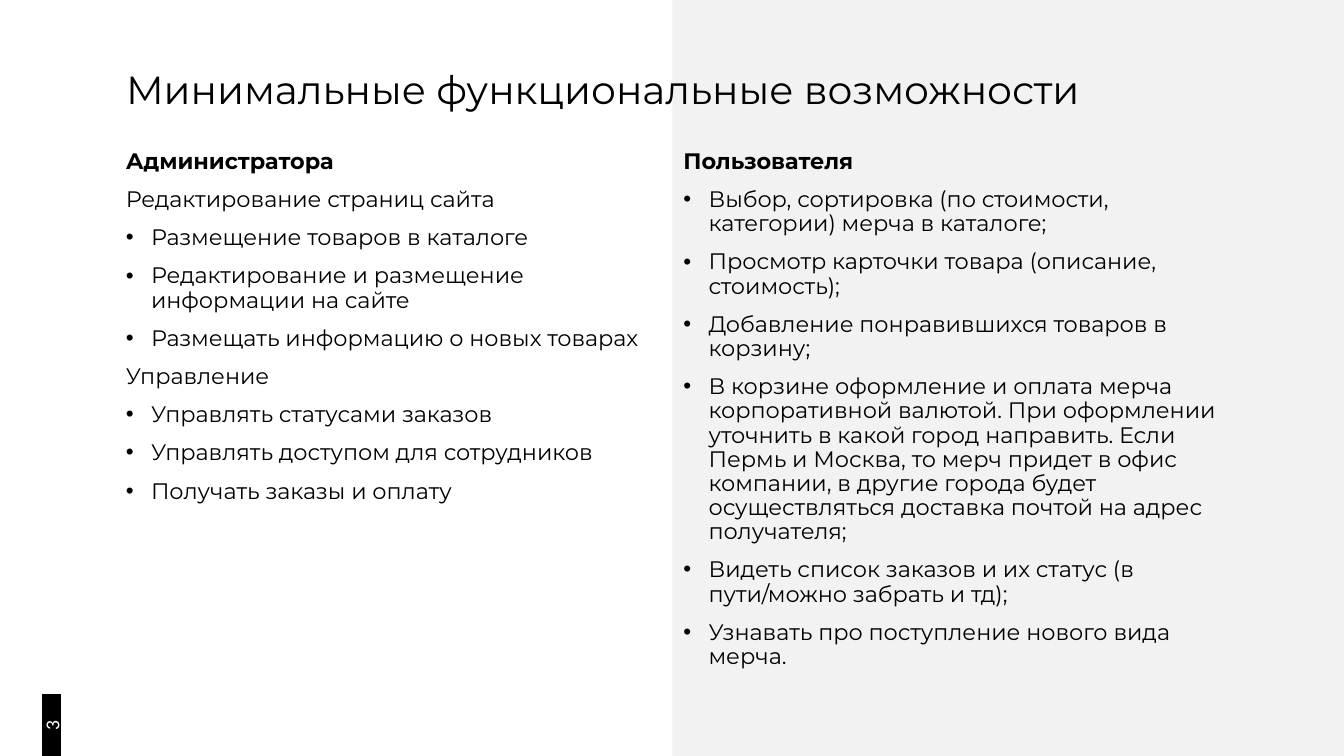
import pptx
import pptx.util
import pptx.dml.color
import pptx.enum.shapes
import pptx.enum.text
import pptx.oxml.ns
from lxml import etree
from pptx.util import Inches

BLACK = "000000"
WHITE = "FFFFFF"
PANEL_GREY = "F2F2F2"
BULLET = "•"

TITLE = "Минимальные функциональные возможности"
ADMIN_LINES = [
    ("heading", "Администратора"),
    ("plain", "Редактирование страниц сайта"),
    ("bullet", "Размещение товаров в каталоге"),
    ("bullet", "Редактирование и размещение информации на сайте"),
    ("bullet", "Размещать информацию о новых товарах"),
    ("plain", "Управление"),
    ("bullet", "Управлять статусами заказов"),
    ("bullet", "Управлять доступом для сотрудников"),
    ("bullet", "Получать заказы и оплату"),
]
USER_LINES = [
    ("heading", "Пользователя"),
    ("bullet", "Выбор, сортировка (по стоимости, категории) мерча в каталоге;"),
    ("bullet", "Просмотр карточки товара (описание, стоимость);"),
    ("bullet", "Добавление понравившихся товаров в корзину;"),
    ("bullet", "В корзине оформление и оплата мерча корпоративной валютой. "
               "При оформлении уточнить в какой город направить. "
               "Если Пермь и Москва, то мерч придет в офис компании, "
               "в другие города будет осуществляться доставка почтой "
               "на адрес получателя;"),
    ("bullet", "Видеть список заказов и их статус (в пути/можно забрать и тд);"),
    ("bullet", "Узнавать про поступление нового вида мерча."),
]


def color(hex_text):
    """Turn a hex string into a colour."""
    return pptx.dml.color.RGBColor.from_string(hex_text)


def apply_format(target, values):
    """Set each named attribute of the target."""
    for name, value in values.items():
        setattr(target, name, value)


def add_span(para, text, size, font_name="Montserrat", hex_text=BLACK, bold=False):
    """Add one formatted run to a paragraph."""
    span = para.add_run()
    span.text = text
    apply_format(span.font, {"name": font_name, "size": pptx.util.Pt(size), "bold": bold})
    span.font.color.rgb = color(hex_text)


def add_bullet(para):
    """Give a paragraph a hanging bullet."""
    properties = para._p.get_or_add_pPr()
    properties.set("marL", str(Inches(0.25)))
    properties.set("indent", str(Inches(-0.25)))
    font = etree.SubElement(properties, pptx.oxml.ns.qn("a:buFont"))
    font.set("typeface", "Arial")
    mark = etree.SubElement(properties, pptx.oxml.ns.qn("a:buChar"))
    mark.set("char", BULLET)


def add_rectangle(page, left, top, width, height, fill):
    """Add a plain filled rectangle."""
    box = page.shapes.add_shape(
        pptx.enum.shapes.MSO_SHAPE.RECTANGLE,
        Inches(left), Inches(top), Inches(width), Inches(height))
    box.shadow.inherit = False
    box.fill.solid()
    box.fill.fore_color.rgb = color(fill)
    box.line.fill.background()
    return box


def add_page_number(page, number):
    """Add the black tab with the sideways page number."""
    tab = add_rectangle(page, 0.42, 6.89, 0.18, 0.61, BLACK)
    tab.line.color.rgb = color(BLACK)
    tab.line.width = pptx.util.Pt(1)
    frame = tab.text_frame
    apply_format(frame, {
        "margin_left": 0, "margin_right": 0, "margin_top": 0, "margin_bottom": 0,
        "vertical_anchor": pptx.enum.text.MSO_ANCHOR.MIDDLE})
    frame._txBody.bodyPr.set("vert", "vert270")
    para = frame.paragraphs[0]
    para.alignment = pptx.enum.text.PP_ALIGN.CENTER
    add_span(para, number, 14, "Calibri", WHITE)


def place_title(page, panel, text):
    """Position the title placeholder in front of the panel and fill it."""
    title = page.shapes.title
    panel.element.addnext(title.element)
    apply_format(title, {
        "left": Inches(1.15), "top": Inches(0.6),
        "width": Inches(11.06), "height": Inches(0.73)})
    apply_format(title.text_frame, {
        "word_wrap": True,
        "auto_size": pptx.enum.text.MSO_AUTO_SIZE.NONE,
        "vertical_anchor": pptx.enum.text.MSO_ANCHOR.TOP})
    para = title.text_frame.paragraphs[0]
    para.alignment = pptx.enum.text.PP_ALIGN.LEFT
    add_span(para, text, 28)


def add_column(page, left, lines):
    """Add a column of heading, plain and bulleted paragraphs."""
    box = page.shapes.add_textbox(Inches(left), Inches(1.44), Inches(5.53), Inches(5.31))
    frame = box.text_frame
    frame.word_wrap = True
    for index, (kind, text) in enumerate(lines):
        para = frame.add_paragraph() if index else frame.paragraphs[0]
        apply_format(para, {"line_spacing": 0.9, "space_before": pptx.util.Pt(10)})
        if kind == "bullet":
            add_bullet(para)
        add_span(para, text, 16, bold=kind == "heading")


def main():
    """Build the slide and save the deck."""
    deck = pptx.Presentation()
    apply_format(deck, {"slide_width": Inches(13.33), "slide_height": Inches(7.5)})
    page = deck.slides.add_slide(deck.slide_layouts.get_by_name("Title Only"))
    panel = add_rectangle(page, 6.67, 0, 6.66, 7.5, PANEL_GREY)
    place_title(page, panel, TITLE)
    add_page_number(page, "3")
    add_column(page, 1.15, ADMIN_LINES)
    add_column(page, 6.68, USER_LINES)
    deck.save("out.pptx")


if __name__ == "__main__":
    main()
